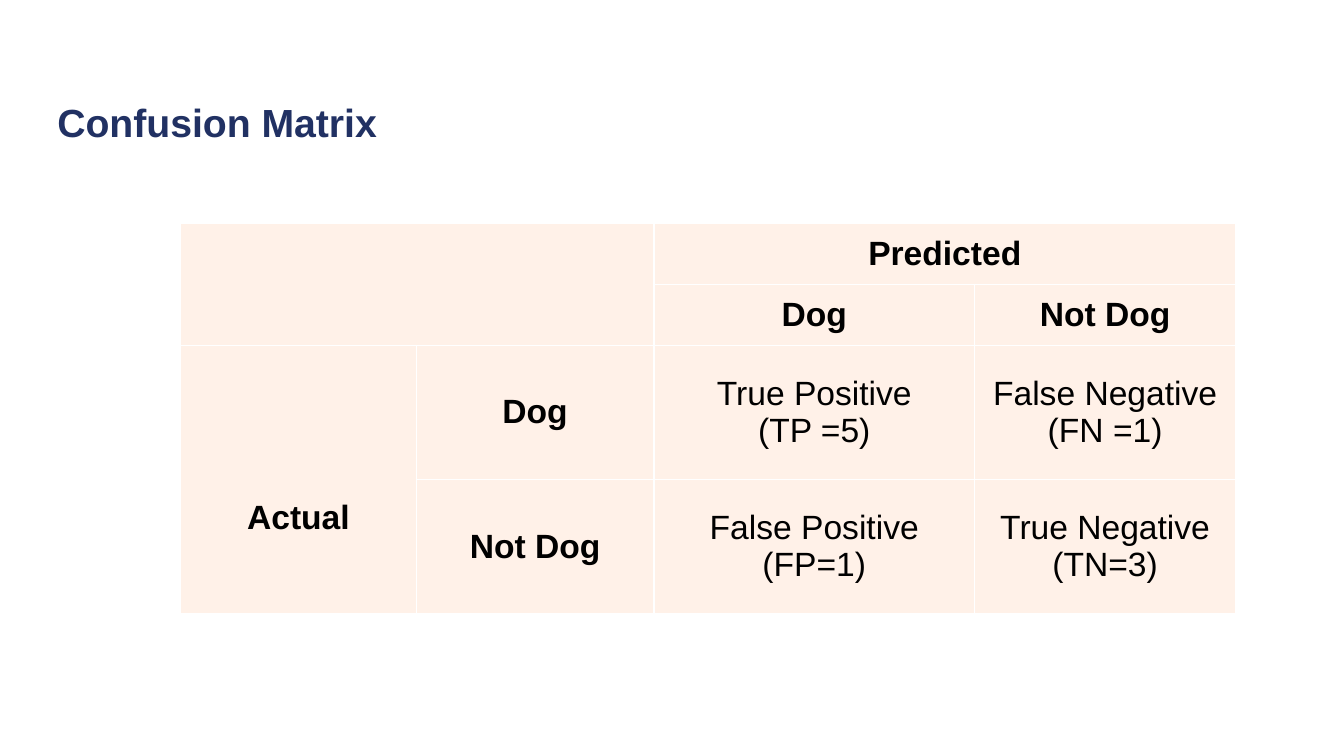
from lxml import etree
from pptx import Presentation
from pptx import util as u
from pptx.dml.color import RGBColor
from pptx.enum import text
from pptx.oxml import ns

NAVY = RGBColor(0x21, 0x31, 0x63)
BLACK = RGBColor(0, 0, 0)
WHITE = RGBColor(0xFF, 0xFF, 0xFF)
PEACH = RGBColor(0xFF, 0xF1, 0xE8)
FONT = "Arial"

COL_WIDTHS = (5.94, 5.99, 8.08, 6.58)
ROW_HEIGHTS = (1.53, 1.53, 3.38, 3.38)
MERGES = (((0, 0), (1, 1)), ((0, 2), (0, 3)), ((2, 0), (3, 0)))
HEADINGS = (
    (0, 2, "Predicted", 0.18, 0.18),
    (1, 2, "Dog", 0.1, 0.18),
    (1, 3, "Not Dog", 0.18, 0.18),
    (2, 1, "Dog", 0.1, 0.1),
    (3, 1, "Not Dog", 0.1, 0.1),
)
OUTCOMES = (
    (2, 2, ("True Positive", "(TP =5)")),
    (2, 3, ("False Negative", "(FN =1)")),
    (3, 2, ("False Positive", "(FP=1)")),
    (3, 3, ("True Negative", "(TN=3)")),
)


def add_run(p, content, size, color, bold):
    r = p.add_run()
    r.text = content
    r.font.name = FONT
    r.font.size = u.Pt(size)
    r.font.bold = bold
    r.font.color.rgb = color


def set_title(s, content):
    sp = s.shapes.title
    sp.left, sp.top = u.Cm(1.19), u.Cm(2.36)
    sp.width, sp.height = u.Cm(17), u.Cm(1.45)
    tf = sp.text_frame
    tf.word_wrap = True
    tf.vertical_anchor = text.MSO_ANCHOR.TOP
    p = tf.paragraphs[0]
    p.alignment = text.PP_ALIGN.LEFT
    add_run(p, content, 28, NAVY, True)


def set_borders(cell, color, width):
    tc_pr = cell._tc.get_or_add_tcPr()
    for i, side in enumerate(("a:lnL", "a:lnR", "a:lnT", "a:lnB")):
        ln = etree.Element(ns.qn(side), w=str(u.Pt(width)))
        fill = etree.SubElement(ln, ns.qn("a:solidFill"))
        etree.SubElement(fill, ns.qn("a:srgbClr"), val=str(color))
        tc_pr.insert(i, ln)


def add_matrix(s):
    frame = s.shapes.add_table(
        len(ROW_HEIGHTS), len(COL_WIDTHS), u.Cm(4.55), u.Cm(5.64),
        u.Cm(sum(COL_WIDTHS)), u.Cm(sum(ROW_HEIGHTS)))
    table = frame.table
    table.first_row = False
    table.horz_banding = False
    for col, width in zip(table.columns, COL_WIDTHS):
        col.width = u.Cm(width)
    for row, height in zip(table.rows, ROW_HEIGHTS):
        row.height = u.Cm(height)
    for cell in table.iter_cells():
        cell.fill.solid()
        cell.fill.fore_color.rgb = PEACH
        set_borders(cell, WHITE, 1)
    for start, end in MERGES:
        table.cell(*start).merge(table.cell(*end))
    return table


def fill_cell(cell, lines, side, top, bottom, bold):
    cell.vertical_anchor = text.MSO_ANCHOR.MIDDLE
    cell.margin_left = cell.margin_right = u.Cm(side)
    cell.margin_top, cell.margin_bottom = u.Cm(top), u.Cm(bottom)
    p = cell.text_frame.paragraphs[0]
    p.alignment = text.PP_ALIGN.CENTER
    for i, line in enumerate(lines):
        if i:
            p.add_line_break()
        add_run(p, line, 24, BLACK, bold)


def main():
    prs = Presentation()
    prs.slide_width, prs.slide_height = u.Cm(33.87), u.Cm(19.05)
    s = prs.slides.add_slide(prs.slide_layouts[5])
    set_title(s, "Confusion Matrix")
    table = add_matrix(s)
    for row, col, heading, side, edge in HEADINGS:
        fill_cell(table.cell(row, col), (heading,), side, edge, edge, True)
    fill_cell(table.cell(2, 0), ("Actual",), 0.1, 2.06, 0.1, True)
    for row, col, lines in OUTCOMES:
        fill_cell(table.cell(row, col), lines, 0.18, 0.25, 0.25, False)
    prs.save("out.pptx")


if __name__ == "__main__":
    main()
